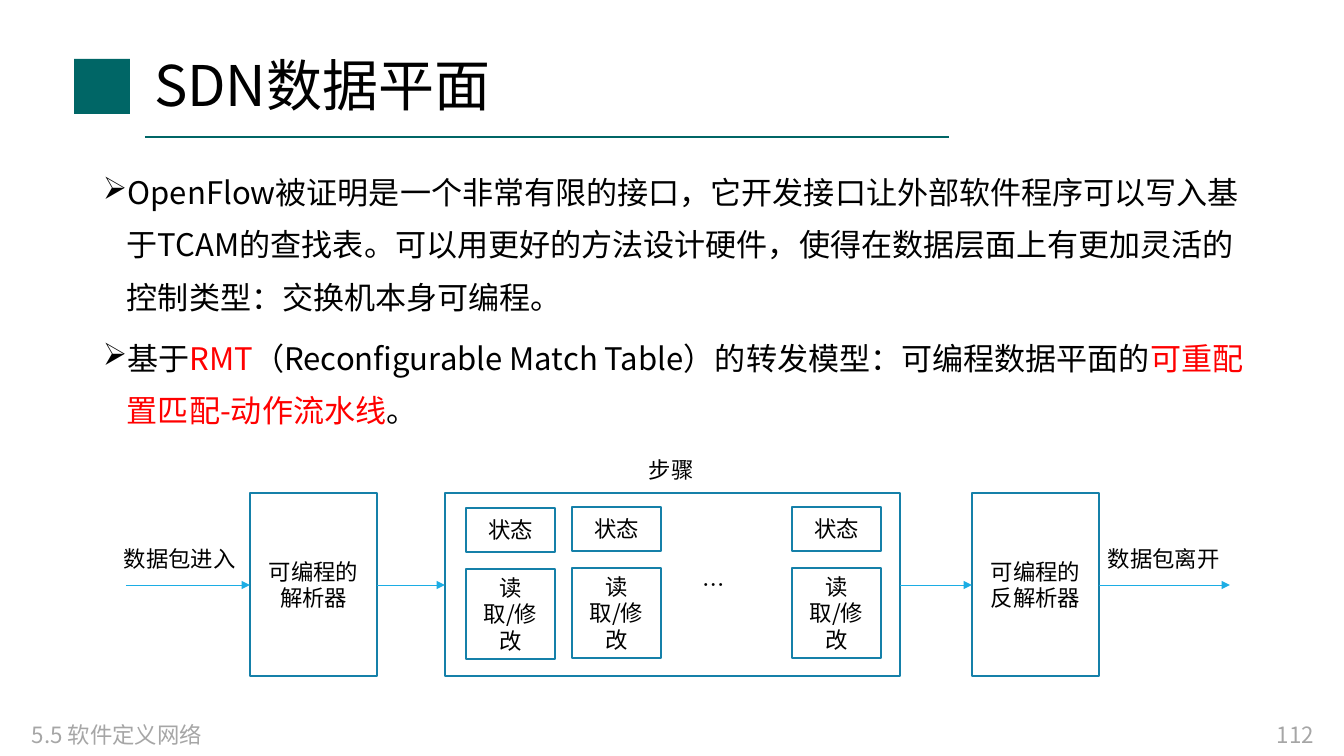
import lxml.etree
import pptx
import pptx.dml.color
import pptx.enum.shapes
import pptx.enum.text
import pptx.oxml.ns
import pptx.util

RGBColor = pptx.dml.color.RGBColor
Align = pptx.enum.text.PP_ALIGN
Anchor = pptx.enum.text.MSO_ANCHOR
Pt = pptx.util.Pt
qn = pptx.oxml.ns.qn

TEAL = RGBColor(0x00, 0x66, 0x66)
BOX_BLUE = RGBColor(0x15, 0x80, 0xA9)
ARROW_BLUE = RGBColor(0x1C, 0xAD, 0xE4)
BLACK = RGBColor(0x00, 0x00, 0x00)
RED = RGBColor(0xFF, 0x00, 0x00)
GREY = RGBColor(0xA6, 0xA6, 0xA6)

FONT = "Noto Sans CJK SC"
LABEL_SIZE, LABEL_PITCH = 16, Pt(19)
BODY_SIZE, BODY_PITCH = 22.2, Pt(37.5)
HANGING = 24


def px(count):
    return round(count * 914400 / 100.8)


class Page:
    """One slide with its text style; all lengths are px."""

    def __init__(self, deck):
        self.slide = deck.slides.add_slide(deck.slide_layouts[5])
        self.shapes = self.slide.shapes

    def style(self, para, size, color=BLACK, align=Align.LEFT, spacing=LABEL_PITCH):
        para.alignment = align
        para.line_spacing = spacing
        font = para.font
        font.size = Pt(size)
        font.color.rgb = color
        font.name = FONT
        defaults = para._p.pPr.find(qn("a:defRPr"))
        lxml.etree.SubElement(defaults, qn("a:ea")).set("typeface", FONT)

    def title(self, text, x, y, width, height):
        title = self.shapes.title
        title.left, title.top = px(x), px(y)
        title.width, title.height = px(width), px(height)
        frame = title.text_frame
        frame.auto_size = pptx.enum.text.MSO_AUTO_SIZE.NONE
        frame.vertical_anchor = Anchor.MIDDLE
        frame.text = text
        self.style(frame.paragraphs[0], 40, spacing=0.9)

    def label(self, text, x, y, width, height=37, color=BLACK, align=Align.LEFT):
        box = self.shapes.add_textbox(px(x), px(y), px(width), px(height))
        box.text_frame.word_wrap = False
        box.text_frame.text = text
        self.style(box.text_frame.paragraphs[0], LABEL_SIZE, color, align)

    def bullets(self, items, x, y, width, height):
        """Each item is a list of (text, colour) spans."""
        frame = self.shapes.add_textbox(px(x), px(y), px(width), px(height)).text_frame
        frame.word_wrap = True
        for index, spans in enumerate(items):
            para = frame.add_paragraph() if index else frame.paragraphs[0]
            properties = para._p.get_or_add_pPr()
            properties.set("marL", str(px(HANGING)))
            properties.set("indent", str(-px(HANGING)))
            lxml.etree.SubElement(properties, qn("a:buChar")).set("char", "➢")
            self.style(para, BODY_SIZE, spacing=BODY_PITCH)
            if index:
                para.space_before = Pt(6)
            for text, color in spans:
                span = para.add_run()
                span.text = text
                if color != BLACK:
                    span.font.color.rgb = color

    def rectangle(self, x, y, width, height):
        box = self.shapes.add_shape(
            pptx.enum.shapes.MSO_SHAPE.RECTANGLE, px(x), px(y), px(width), px(height))
        box.shadow.inherit = False
        return box

    def emblem(self, x, y, width, height):
        box = self.rectangle(x, y, width, height)
        box.fill.solid()
        box.fill.fore_color.rgb = TEAL
        box.line.fill.background()

    def block(self, text, x, y, width, height, left_inset=10):
        box = self.rectangle(x, y, width, height)
        box.fill.background()
        box.line.color.rgb = BOX_BLUE
        box.line.width = Pt(1)
        frame = box.text_frame
        frame.word_wrap = True
        frame.vertical_anchor = Anchor.MIDDLE
        frame.margin_left = px(left_inset)
        frame.text = text
        self.style(frame.paragraphs[0], LABEL_SIZE, align=Align.CENTER)

    def line(self, start, end, y, color, weight, arrow=False):
        line = self.shapes.add_connector(
            pptx.enum.shapes.MSO_CONNECTOR.STRAIGHT, px(start), px(y), px(end), px(y))
        line.line.color.rgb = color
        line.line.width = Pt(weight)
        if arrow:
            outline = line.line._get_or_add_ln()
            lxml.etree.SubElement(outline, qn("a:tailEnd")).set("type", "triangle")
        lxml.etree.SubElement(line._element.spPr, qn("a:effectLst"))


def main():
    deck = pptx.Presentation()
    deck.slide_width, deck.slide_height = px(1344), px(756)
    page = Page(deck)

    page.emblem(74, 59, 56, 55)
    page.line(145, 949, 137, TEAL, 1.5)
    page.title("SDN数据平面", 144, 40, 906, 97)
    page.bullets([
        [("OpenFlow被证明是一个非常有限的接口，它开发接口让外部软件程序可以写入基于TCAM的查找表。"
          "可以用更好的方法设计硬件，使得在数据层面上有更加灵活的控制类型：交换机本身可编程。", BLACK)],
        [("基于", BLACK), ("RMT", RED),
         ("（Reconfigurable Match Table）的转发模型：可编程数据平面的", BLACK),
         ("可重配置匹配-动作流水线", RED), ("。", BLACK)],
    ], 93, 153, 1179, 286)

    top, height = 493, 183
    page.block("可编程的解析器", 250, top, 127, height)
    page.block("…", 445, top, 455, height, left_inset=92)
    page.block("可编程的反解析器", 972, top, 127, height)
    for x, y in ((466, 508), (572, 507), (792, 507)):
        page.block("状态", x, y, 89, 44)
        page.block("读取/修改", x, y + 61, 89, 90)
    for start, end in ((126, 250), (377, 445), (900, 972), (1099, 1230)):
        page.line(start, end, 585, ARROW_BLUE, 0.5, arrow=True)

    page.label("步骤", 639, 451, 66)
    page.label("数据包进入", 114, 540, 136)
    page.label("数据包离开", 1098, 540, 133)
    page.label("5.5 软件定义网络", 22, 716, 302, 40, GREY)
    page.label("112", 958, 716, 366, 40, GREY, Align.RIGHT)
    deck.save("out.pptx")


if __name__ == "__main__":
    main()
